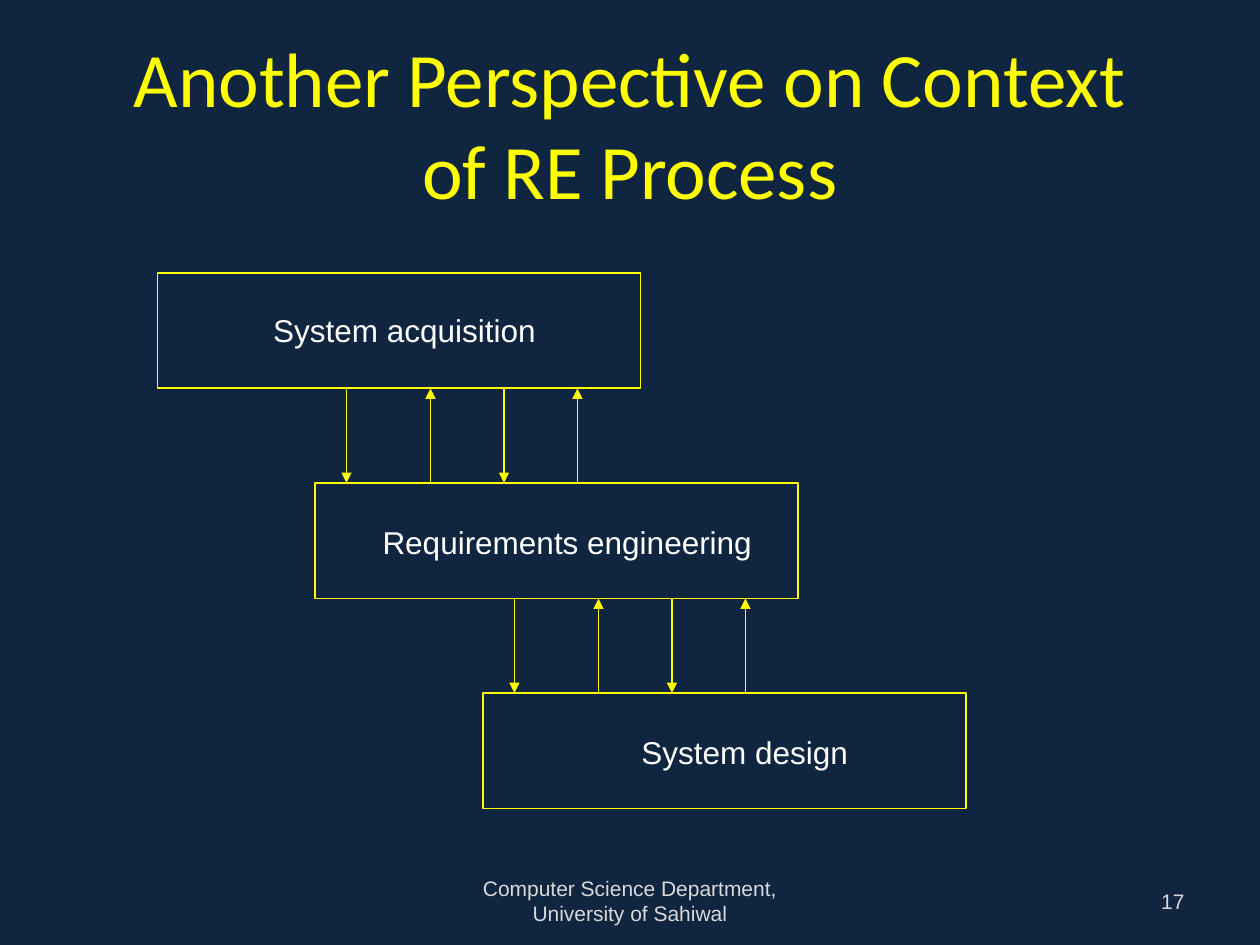
from pptx import Presentation
from pptx.dml.color import RGBColor
from pptx.enum.shapes import MSO_CONNECTOR, MSO_SHAPE
from pptx.enum.text import MSO_ANCHOR, MSO_AUTO_SIZE, PP_ALIGN
from pptx.oxml.ns import qn
from pptx.util import Pt
from lxml.etree import SubElement

NAVY = RGBColor(0x10, 0x25, 0x3F)
YELLOW = RGBColor(0xFF, 0xFF, 0x00)
WHITE = RGBColor(0xFF, 0xFF, 0xFF)
GREY = RGBColor(0xD9, 0xD9, 0xD9)

TITLE = {"name": "Calibri", "size": Pt(44)}
FOOTER = {"name": "Arial", "size": Pt(12)}
LABEL = {"name": "Arial", "size": Pt(18)}

presentation = Presentation()
presentation.slide_width, presentation.slide_height = Pt(720), Pt(540)
slide = presentation.slides.add_slide(presentation.slide_layouts[6])
slide.background.fill.solid()
slide.background.fill.fore_color.rgb = NAVY


def add_text(text, bounds, font_format, color, align, anchor=MSO_ANCHOR.MIDDLE, wrap=True):
    text_box = slide.shapes.add_textbox(*(Pt(value) for value in bounds))
    frame = text_box.text_frame
    frame.word_wrap = wrap
    frame.auto_size = MSO_AUTO_SIZE.NONE if wrap else MSO_AUTO_SIZE.SHAPE_TO_FIT_TEXT
    frame.vertical_anchor = anchor
    paragraph = frame.paragraphs[0]
    paragraph.alignment = align
    run = paragraph.add_run()
    run.text = text
    for attribute, value in font_format.items():
        setattr(run.font, attribute, value)
    run.font.color.rgb = color


def add_arrow(x, start_y, end_y):
    arrow = slide.shapes.add_connector(
        MSO_CONNECTOR.STRAIGHT, Pt(x), Pt(start_y), Pt(x), Pt(end_y))
    arrow.line.color.rgb = YELLOW
    arrow.line.width = Pt(1)
    SubElement(arrow.line._get_or_add_ln(), qn("a:tailEnd"), type="triangle")
    SubElement(arrow._element.spPr, qn("a:effectLst"))


# Title, footer and slide number
add_text("Another Perspective on Context of RE Process",
         (54, 26.64, 612, 87.12), TITLE, YELLOW, PP_ALIGN.CENTER)
add_text("Computer Science Department, University of Sahiwal",
         (246, 500.5, 228, 28.75), FOOTER, GREY, PP_ALIGN.CENTER)
add_text("17", (516, 500.5, 168, 28.75), FOOTER, GREY, PP_ALIGN.RIGHT)

# Process boxes, stepping down to the right, with their labels
BOX_WIDTH, BOX_HEIGHT = 276, 66
FIRST_TOP, STEP = 156, 120
ARROW_OFFSETS = (18, 66, 108, 150)
stages = [
    # text, box left, label left, label top, label width
    ("System acquisition", 90, 149, 174.25, 168),
    ("Requirements engineering", 180, 211.5, 295.5, 229),
    ("System design", 276, 359.5, 415.5, 136),
]
for index, (text, left, label_left, label_top, label_width) in enumerate(stages):
    top = FIRST_TOP + index * STEP
    box = slide.shapes.add_shape(
        MSO_SHAPE.RECTANGLE, Pt(left), Pt(top), Pt(BOX_WIDTH), Pt(BOX_HEIGHT))
    box.shadow.inherit = False
    box.fill.background()
    box.line.color.rgb = YELLOW
    box.line.width = Pt(1)
    add_text(text, (label_left, label_top, label_width, 29), LABEL, WHITE,
             PP_ALIGN.LEFT, MSO_ANCHOR.TOP, wrap=False)

    # Arrows to and from the box above, alternately down and up
    if index > 0:
        bottom_above = top - STEP + BOX_HEIGHT
        for number, offset in enumerate(ARROW_OFFSETS):
            if number % 2 == 0:
                add_arrow(left + offset, bottom_above, top)
            else:
                add_arrow(left + offset, top, bottom_above)

presentation.save("out.pptx")
